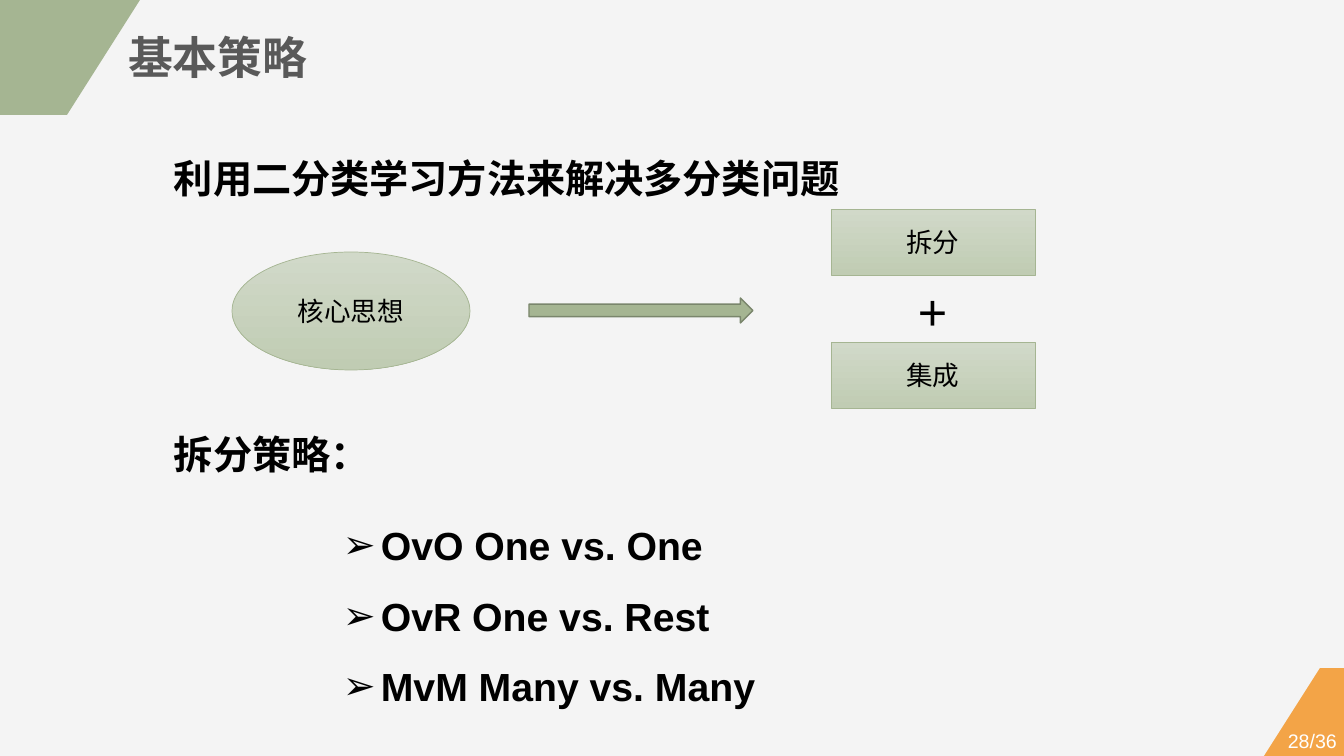
from lxml import etree
from pptx import Presentation
from pptx.dml.color import RGBColor
from pptx.enum.shapes import MSO_SHAPE
from pptx.enum.text import MSO_ANCHOR, MSO_AUTO_SIZE, PP_ALIGN
from pptx.oxml.ns import qn
from pptx.util import Pt

OVAL, RECT, ARROW = MSO_SHAPE.OVAL, MSO_SHAPE.RECTANGLE, MSO_SHAPE.RIGHT_ARROW
LEFT, CENTER = PP_ALIGN.LEFT, PP_ALIGN.CENTER
TOP, MIDDLE = MSO_ANCHOR.TOP, MSO_ANCHOR.MIDDLE
NO_FIT = MSO_AUTO_SIZE.NONE
SCALE = 914400 / 100.8
WIDE, HIGH = 1344, 756
GREEN, ORANGE, EDGE = "A5B592", "F3A447", "7A866C"
PALE, SAGE = "D1D9C9", "C0CCB3"
BLACK, WHITE, GRAY, PAPER = "000000", "FFFFFF", "595959", "F4F4F4"


def px(size):
    """Turn pixels into EMU."""
    return round(size * SCALE)


def color(code):
    """Turn a hex string into a colour."""
    return RGBColor.from_string(code)


class Deck:
    """Hold the style and the current slide."""

    font = "Arial"

    def __init__(self, show):
        """Add a title-only slide with a plain background."""
        self.slide = show.slides.add_slide(show.slide_layouts[5])
        back = self.slide.background.fill
        back.solid()
        back.fore_color.rgb = color(PAPER)

    def put(self, frame, lines, size, tint=BLACK, bold=False,
            align=LEFT, anchor=TOP, wrap=False):
        """Fill a text frame with one paragraph per line."""
        frame.word_wrap = wrap
        frame.auto_size = NO_FIT
        frame.vertical_anchor = anchor
        for num, line in enumerate(lines):
            para = frame.add_paragraph() if num else frame.paragraphs[0]
            para.alignment = align
            run = para.add_run()
            run.text = line
            font = run.font
            font.name, font.size, font.bold = self.font, Pt(size), bold
            font.color.rgb = color(tint)

    def title(self, box, text):
        """Place and format the title."""
        shape = self.slide.shapes.title
        shape.left, shape.top, shape.width, shape.height = map(px, box)
        self.put(shape.text_frame, [text], 32, GRAY, True)

    def text(self, box, lines, size, **style):
        """Add a text box and return its frame."""
        frame = self.slide.shapes.add_textbox(*map(px, box)).text_frame
        self.put(frame, lines, size, **style)
        return frame

    def bullets(self, box, lines, size, sign, indent):
        """Add a bold bullet list with wide line spacing."""
        for para in self.text(box, lines, size, bold=True).paragraphs:
            para.line_spacing = 1.5
            props = para._p.get_or_add_pPr()
            props.set("marL", str(px(indent)))
            props.set("indent", str(-px(indent)))
            etree.SubElement(props, qn("a:buFont")).set("typeface", self.font)
            etree.SubElement(props, qn("a:buChar")).set("char", sign)

    def shape(self, kind, box, line, width):
        """Add a preset shape with an outline."""
        shape = self.slide.shapes.add_shape(kind, *map(px, box))
        shape.shadow.inherit = False
        shape.line.color.rgb = color(line)
        shape.line.width = Pt(width)
        return shape

    def arrow(self, box):
        """Add a solid block arrow."""
        fill = self.shape(ARROW, box, EDGE, 1).fill
        fill.solid()
        fill.fore_color.rgb = color(GREEN)

    def node(self, kind, box, text):
        """Add a labelled shape that shades from top to bottom."""
        shape = self.shape(kind, box, GREEN, 0.5)
        shape.fill.gradient()
        shape.fill.gradient_angle = 270
        for stop, tint in zip(shape.fill.gradient_stops, (PALE, SAGE)):
            stop.color.rgb = color(tint)
        self.put(shape.text_frame, [text], 19, align=CENTER,
                 anchor=MIDDLE, wrap=True)

    def corner(self, points, tint):
        """Add a corner shape without an outline."""
        form = self.slide.shapes.build_freeform(*points[0], scale=SCALE)
        form.add_line_segments(points[1:], close=True)
        shape = form.convert_to_shape()
        shape.shadow.inherit = False
        shape.fill.solid()
        shape.fill.fore_color.rgb = color(tint)
        shape.line.fill.background()


def main():
    """Build the slide and save it."""
    show = Presentation()
    show.slide_width, show.slide_height = px(WIDE), px(HIGH)
    deck = Deck(show)

    deck.corner([(0, 0), (140, 0), (67, 115), (0, 115)], GREEN)
    deck.corner([(1320, 668), (WIDE, 668), (WIDE, HIGH), (1264, HIGH)], ORANGE)
    deck.text((1281, 724, 63, 31), ["28/36"], 14, tint=WHITE, align=CENTER)
    deck.title((118, 25, 202, 65), "基本策略")

    heads = ((149, 694, "利用二分类学习方法来解决多分类问题"),
             (425, 219, "拆分策略："))
    for top, width, text in heads:
        deck.text((164, top, width, 57), [text], 28, bold=True)

    deck.node(OVAL, (232, 252, 238, 118), "核心思想")
    deck.arrow((529, 298, 224, 25))
    for num, text in enumerate(("拆分", "集成")):
        deck.node(RECT, (831, 209 + 133 * num, 204, 66), text)
    deck.text((908, 275, 50, 72), ["+"], 36)

    kinds = ["OvO One vs. One", "OvR One vs. Rest", "MvM Many vs. Many"]
    deck.bullets((333, 493, 437, 215), kinds, 28, "➢", 38)
    show.save("out.pptx")


main()
